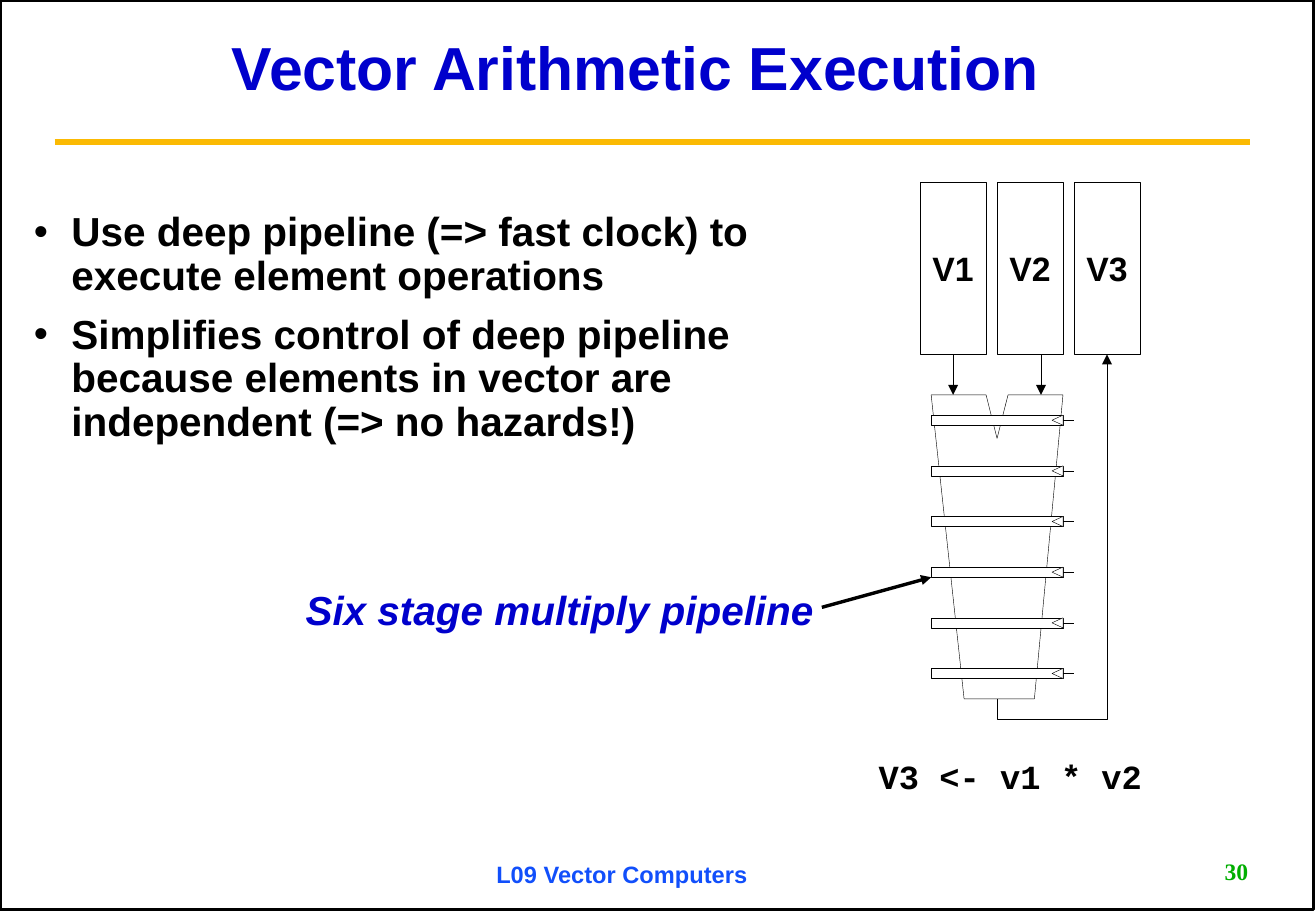
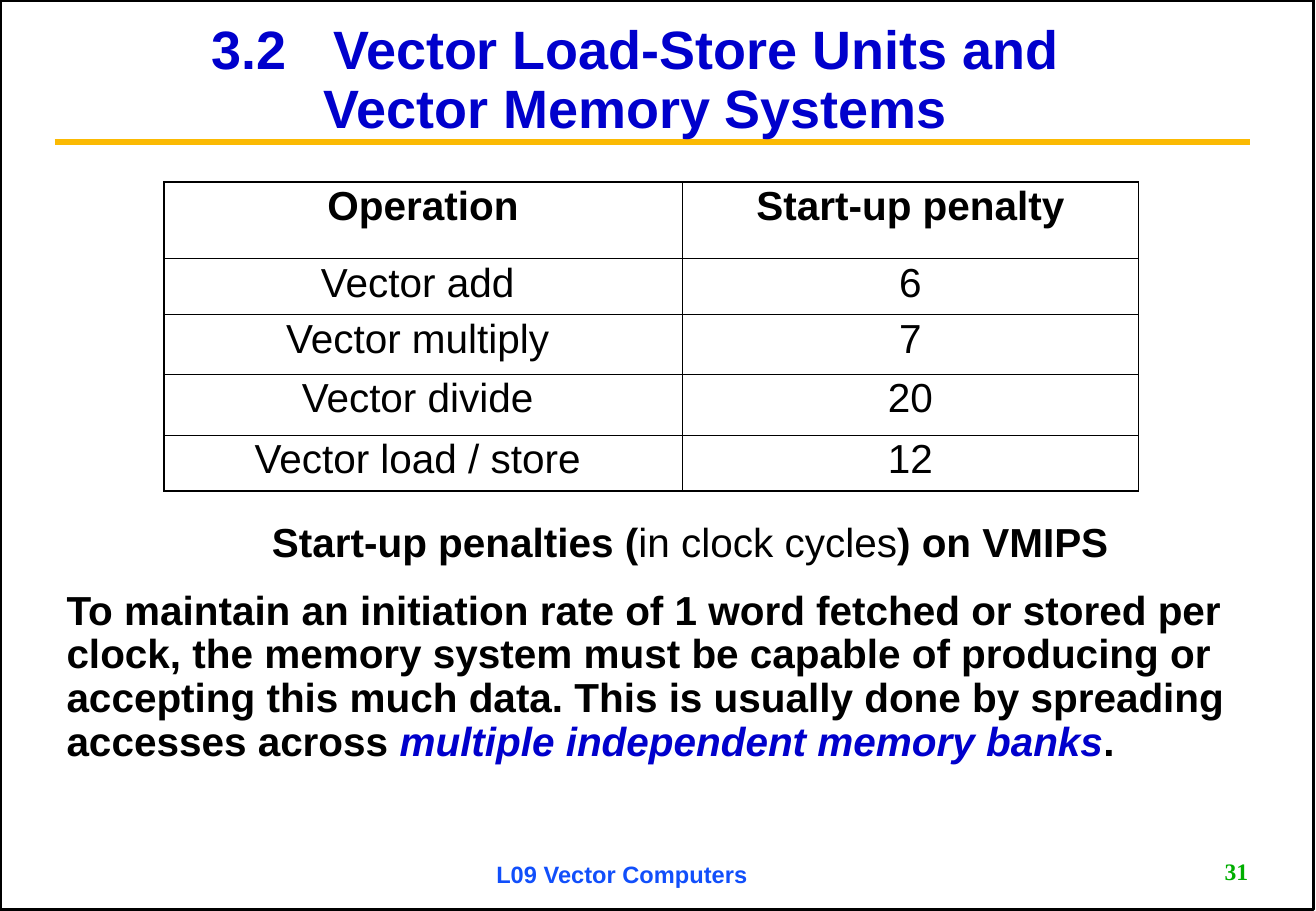
from collections import namedtuple

from lxml import etree
from pptx import Presentation
from pptx import util as u
from pptx.dml.color import RGBColor
from pptx.enum import shapes, text
from pptx.oxml.ns import qn

WIDTH, HEIGHT = 10.84, 7.5
BLACK, WHITE, BLUE = "000000", "FFFFFF", "0000CC"
GOLD, FOOTER_BLUE, GREEN = "FBBA03", "114FFB", "00AE00"
CENTER, RIGHT = text.PP_ALIGN.CENTER, text.PP_ALIGN.RIGHT
TOP, MIDDLE = text.MSO_ANCHOR.TOP, text.MSO_ANCHOR.MIDDLE
HAIRLINE = 0.25

Box = namedtuple("Box", "left top width height")
Style = namedtuple("Style", "size color font bold italic",
                   defaults=(24, BLACK, "Arial", True, False))
BODY = Style()
PLAIN = BODY._replace(bold=False)
ACCENT = BODY._replace(color=BLUE, italic=True)


def rgb(value):
    return RGBColor.from_string(value)


def inches(*lengths):
    return [u.Inches(length) for length in lengths]


def add_child(parent, tag, **attributes):
    return etree.SubElement(parent, qn(tag), attributes)


def set_line(item, width, color=BLACK, arrow=False):
    item.line.width = u.Pt(width)
    item.line.color.rgb = rgb(color)
    if arrow:
        add_child(item.line._get_or_add_ln(), "a:tailEnd", type="triangle")


def set_outline(shape, fill=None, arrow=False, width=HAIRLINE):
    shape.shadow.inherit = False
    if fill:
        shape.fill.solid()
        shape.fill.fore_color.rgb = rgb(fill)
    else:
        shape.fill.background()
    set_line(shape, width, arrow=arrow)


def add_rect(parent, box, fill=None, width=HAIRLINE):
    shape = parent.shapes.add_shape(shapes.MSO_SHAPE.RECTANGLE, *inches(*box))
    set_outline(shape, fill, width=width)
    return shape


def add_line(parent, start, end, width=HAIRLINE, color=BLACK, arrow=False):
    line = parent.shapes.add_connector(shapes.MSO_CONNECTOR.STRAIGHT, *inches(*start, *end))
    set_line(line, width, color, arrow)
    add_child(line._element.spPr, "a:effectLst")


def add_outline(parent, points, fill=None, closed=True, arrow=False):
    start, *rest = [inches(*point) for point in points]
    builder = parent.shapes.build_freeform(*start)
    builder.add_line_segments(rest, close=closed)
    set_outline(builder.convert_to_shape(), fill, arrow)


def write(para, spans, align=None, spacing=None):
    """Fill a paragraph with (text, Style) pairs."""
    para.alignment = align
    para.line_spacing = spacing
    for words, style in spans:
        span = para.add_run()
        span.text = words
        font = span.font
        font.size, font.name = u.Pt(style.size), style.font
        font.bold, font.italic = style.bold, style.italic
        font.color.rgb = rgb(style.color)


def add_text(page, box, spans, align=None, spacing=None, anchor=TOP):
    frame = page.shapes.add_textbox(*inches(*box)).text_frame
    frame.word_wrap = True
    frame.vertical_anchor = anchor
    write(frame.paragraphs[0], spans, align, spacing)
    return frame


def add_bullets(page, box, items):
    frame = add_text(page, box, [], anchor=MIDDLE)
    for index, item in enumerate(items):
        para = frame.add_paragraph() if index else frame.paragraphs[0]
        write(para, [(item, BODY)], spacing=0.9)
        if index:
            para.space_before = u.Pt(9)
        props = para._p.get_or_add_pPr()
        props.set("marL", str(u.Inches(0.31)))
        props.set("indent", str(-u.Inches(0.31)))
        add_child(props, "a:buFont", typeface="Arial")
        add_child(props, "a:buChar", char="•")


def add_page(deck, title, title_box, title_size, number):
    """Add a page with the shared frame, rule, title and footer."""
    page = deck.slides.add_slide(deck.slide_layouts[6])
    add_rect(page, Box(0, 0, WIDTH - 0.02, HEIGHT - 0.01), width=2)
    add_line(page, (0.45, 1.17), (10.3, 1.17), 3.75, GOLD)
    add_text(page, Box(8.3, 7.01, 2.08, 0.32),
             [(str(number), Style(14, GREEN, "Times New Roman"))], RIGHT, anchor=MIDDLE)
    add_text(page, Box(3.99, 7.03, 3.17, 0.31),
             [("L09 Vector Computers", Style(14, FOOTER_BLUE))])
    heading = add_text(page, title_box, [(title, Style(title_size, BLUE))], CENTER, 0.9, MIDDLE)
    if "\t" in title:
        tabs = add_child(heading.paragraphs[0]._p.get_or_add_pPr(), "a:tabLst")
        add_child(tabs, "a:tab", pos=str(u.Inches(1)), algn="l")
    return page


def add_latch(page, at, row):
    """Draw a pipeline register with its clock wedge; at() maps grid to slide."""
    group = page.shapes.add_group_shape()
    (left, top), (right, bottom) = at(1, row), at(13, row + 1)
    add_rect(group, Box(left, top, right - left, bottom - top), WHITE)
    add_outline(group, [at(13, row + 1), at(12, row + 0.5), at(13, row)], WHITE)
    add_line(group, at(13, row + 0.5), at(14, row + 0.5))


def add_pipeline(page, box):
    """Draw registers and multiplier on a 20 by 53 grid; return the callout target."""
    column, row = box.width / 20, box.height / 53

    def at(x, y):
        return box.left + x * column, box.top + y * row

    add_outline(page, [at(*point) for point in (
        (1, 21), (4, 51), (10.4, 51), (13, 21), (8, 21), (7, 25.3), (6, 21))])
    for step in range(6):
        add_latch(page, at, 23 + 5 * step)
    for x in (3, 11):
        add_line(page, at(x, 17), at(x, 21), arrow=True)
    add_outline(page, [at(7, 51), at(7, 53), at(17, 53), at(17, 17)], closed=False, arrow=True)
    for index, name in enumerate(("V1", "V2", "V3")):
        register = add_rect(page, Box(*at(7 * index, 0), 6 * column, 17 * row))
        frame = register.text_frame
        frame.margin_left = frame.margin_right = 0
        frame.vertical_anchor = MIDDLE
        write(frame.paragraphs[0], [(name, Style(20))], CENTER)
    return at(1, 39)


def set_borders(cell, widths):
    """Draw cell edges, given as a mapping of side letter to width."""
    props = cell._tc.get_or_add_tcPr()
    for index, (side, width) in enumerate(widths.items()):
        edge = etree.Element(qn("a:ln" + side), w=str(u.Pt(width)))
        add_child(add_child(edge, "a:solidFill"), "a:srgbClr", val=BLACK)
        props.insert(index, edge)


def add_penalty_table(page, box, columns, heights, rows):
    table = page.shapes.add_table(len(rows), len(columns), *inches(*box)).table
    table.first_row = table.horz_banding = False
    for column, width in zip(table.columns, columns):
        column.width = u.Inches(width)
    for row, height in zip(table.rows, heights):
        row.height = u.Inches(height)
    last_row, last_column = len(rows) - 1, len(columns) - 1
    for r, values in enumerate(rows):
        for c, value in enumerate(values):
            cell = table.cell(r, c)
            cell.fill.background()
            cell.margin_right = u.Inches(0.19 if r and not c else 0.1)
            write(cell.text_frame.paragraphs[0], [(value, PLAIN if r else BODY)], CENTER, 0.9)
            outer = {"L": c == 0, "R": c == last_column, "T": r == 0, "B": r == last_row}
            set_borders(cell, {side: 1.08 if edge else 0.45 for side, edge in outer.items()})


def build_execution(deck):
    page = add_page(deck, "Vector Arithmetic Execution", Box(0.99, 0.25, 8.49, 0.67), 36, 30)
    add_bullets(page, Box(0.18, 1.69, 6.59, 2.03), (
        "Use deep pipeline (=> fast clock) to execute element operations",
        "Simplifies control of deep pipeline because elements in vector are "
        "independent (=> no hazards!)"))
    target = add_pipeline(page, Box(7.58, 1.5, 1.81, 4.42))
    add_text(page, Box(7.14, 6.17, 2.6, 0.44),
             [("V3 <- v1 * v2", Style(20, font="Courier New"))], anchor=MIDDLE)
    add_text(page, Box(2.32, 4.77, 4.58, 0.5), [("Six stage multiply pipeline", ACCENT)], CENTER)
    add_line(page, (6.77, 5), target, 2, arrow=True)


def build_memory(deck):
    page = add_page(deck, "3.2\tVector Load-Store Units and Vector Memory Systems",
                    Box(0.99, 0.17, 8.49, 1), 32, 31)
    add_text(page, Box(1.08, 4.25, 9.21, 0.52), [
        ("Start-up penalties (", BODY), ("in clock cycles", PLAIN), (") on VMIPS", BODY),
    ], CENTER, 0.9)
    add_penalty_table(page, Box(1.35, 1.5, 8.03, 2.55), (4.27, 3.76),
                      (0.63, 0.46, 0.49, 0.5, 0.46), (
        ("Operation", "Start-up penalty"),
        ("Vector add", "6"),
        ("Vector multiply", "7"),
        ("Vector divide", "20"),
        ("Vector load / store", "12")))
    add_text(page, Box(0.45, 4.81, 10.06, 1.54), [
        ("To maintain an initiation rate of 1 word fetched or stored per clock, the memory "
         "system must be capable of producing or accepting this much data. This is usually "
         "done by spreading accesses across ", BODY),
        ("multiple independent memory banks", ACCENT), (".", BODY),
    ], spacing=0.9)


def main():
    deck = Presentation()
    deck.slide_width, deck.slide_height = inches(WIDTH, HEIGHT)
    build_execution(deck)
    build_memory(deck)
    deck.save("out.pptx")


if __name__ == "__main__":
    main()
